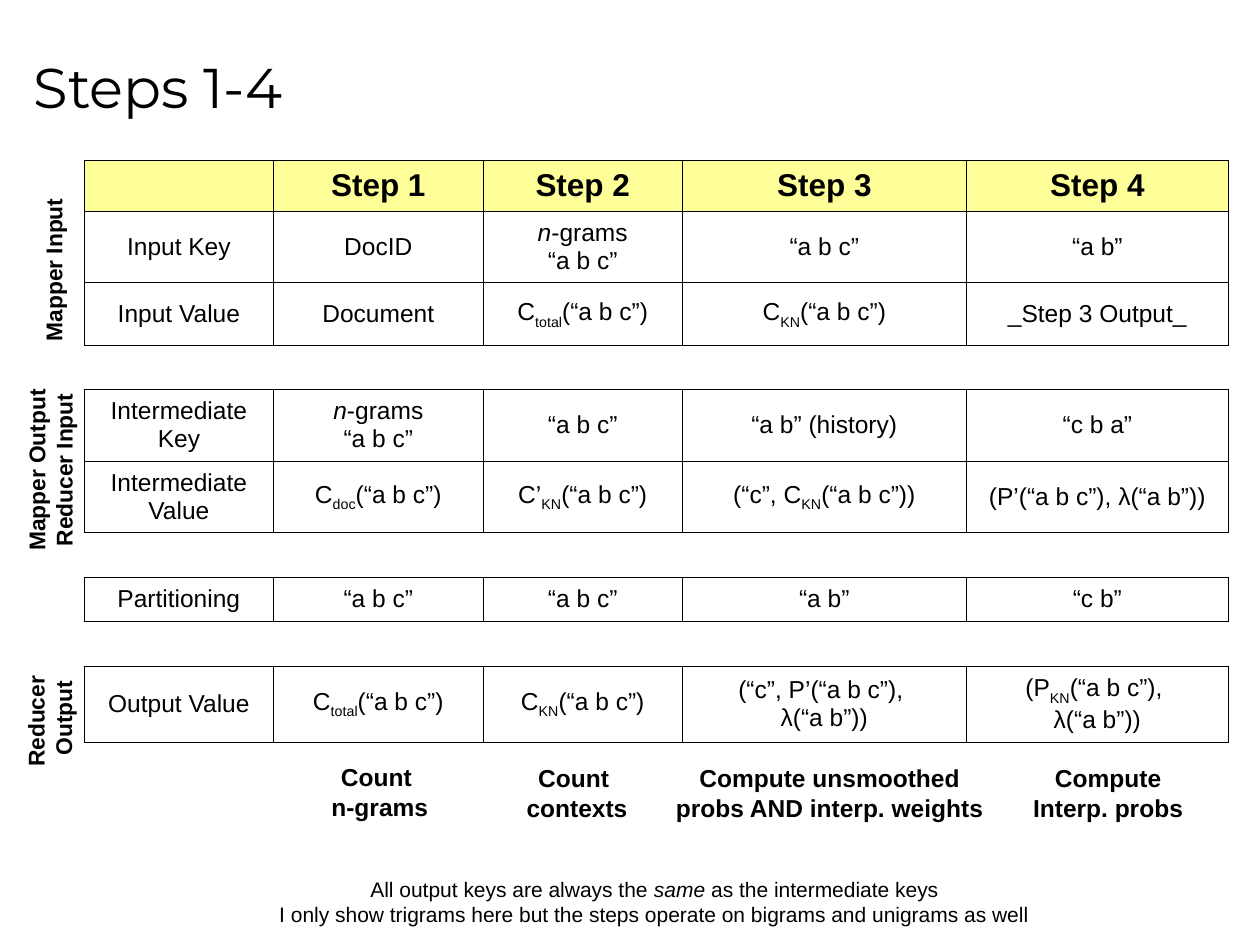
import copy
from dataclasses import dataclass
from typing import NamedTuple

import pptx
import pptx.dml.color
import pptx.enum.text
import pptx.oxml
import pptx.oxml.ns
import pptx.util

ALIGN = pptx.enum.text.PP_ALIGN
ANCHOR = pptx.enum.text.MSO_ANCHOR
AUTO_SIZE = pptx.enum.text.MSO_AUTO_SIZE

# The slide is a grid of 100 columns by 75 rows
GRID_COLUMNS, GRID_ROWS = 100, 75
SLIDE_WIDTH, SLIDE_HEIGHT = pptx.util.Inches(10), pptx.util.Inches(7.5)
NO_STYLE = "{2D5ABB26-0587-4C30-8999-92F81FD0307C}"


@dataclass(frozen=True)
class Theme:
    ink: str = "000000"
    header_fill: str = "FFFF99"
    body_font: str = "Arial"
    title_font: str = "Montserrat"
    title_size: int = 32
    header_size: int = 18
    body_size: int = 14
    side_size: int = 13
    note_size: int = 12
    border: float = 0.45


THEME = Theme()


class Box(NamedTuple):
    left: float
    top: float
    width: float
    height: float


class Label(NamedTuple):
    """Text in paragraphs: *italic*, ~subscript~, and \\n for a line break."""
    paragraphs: tuple
    box: Box
    size: int
    bold: bool = True
    rotation: int = 0
    align: ALIGN = ALIGN.CENTER


TITLE = Box(1.7, 1.2, 95, 11.2)

# Table content; an empty row is an open gap between groups
GAP = ("",) * 5
TABLE_CORNER = (6.7, 12.7)
COLUMN_WIDTHS = (15, 16.65, 15.8, 22.55, 20.8)
STEP_ROWS = (
    (4.05, ("", "Step 1", "Step 2", "Step 3", "Step 4")),
    (5.7, ("Input Key", "DocID", "*n*-grams\n“a b c”", "“a b c”", "“a b”")),
    (5.0, ("Input Value", "Document", "C~total~(“a b c”)", "C~KN~(“a b c”)",
           "_Step 3 Output_")),
    (3.45, GAP),
    (5.7, ("Intermediate Key", "*n*-grams\n“a b c”", "“a b c”",
           "“a b” (history)", "“c b a”")),
    (5.7, ("Intermediate Value", "C~doc~(“a b c”)", "C’~KN~(“a b c”)",
           "(“c”, C~KN~(“a b c”))", "(P’(“a b c”), λ(“a b”))")),
    (3.5, GAP),
    (3.55, ("Partitioning", "“a b c”", "“a b c”", "“a b”", "“c b”")),
    (3.55, GAP),
    (6.0, ("Output Value", "C~total~(“a b c”)", "C~KN~(“a b c”)",
           "(“c”, P’(“a b c”), \nλ(“a b”))",
           "(P~KN~(“a b c”), \nλ(“a b”))")),
)

LABELS = (
    # What each step does
    Label(("Count ", "n-grams"), Box(25.3, 60, 9.7, 5.7), THEME.body_size),
    Label(("Count ", "contexts"), Box(40.8, 60.1, 10, 5.7), THEME.body_size),
    Label(("Compute unsmoothed\nprobs AND interp. weights",),
          Box(52.6, 60.1, 26.5, 5.7), THEME.body_size),
    Label(("Compute", "Interp. probs"), Box(81, 60.1, 13.9, 5.7),
          THEME.body_size),
    # Closing note
    Label(("All output keys are always the *same *as the intermediate keys",
           "I only show trigrams here but the steps operate on bigrams "
           "and unigrams as well"),
          Box(20.95, 69.1, 62, 5), THEME.note_size, bold=False),
    # Row groups, reading upwards
    Label(("Mapper Input",), Box(-2.4, 19.8, 13.3, 3.2), THEME.side_size,
          rotation=270, align=ALIGN.LEFT),
    Label(("Mapper Output", "Reducer Input"), Box(-3.4, 34.6, 14.8, 5.4),
          THEME.side_size, rotation=270),
    Label(("Reducer ", "Output"), Box(-0.9, 54.3, 9.7, 5.4),
          THEME.side_size, rotation=270),
)


def across(columns: float) -> int:
    return round(SLIDE_WIDTH * columns / GRID_COLUMNS)


def down(rows: float) -> int:
    return round(SLIDE_HEIGHT * rows / GRID_ROWS)


def add_run(paragraph, text: str, size: int, bold: bool, italic: bool,
            subscript: bool, font_name: str) -> None:
    for index, line in enumerate(text.split("\n")):
        if index:
            paragraph.add_line_break()
            line_break = paragraph._p[-1]
        run = paragraph.add_run()
        run.text = line
        formats = {"name": font_name, "size": pptx.util.Pt(size),
                   "bold": bold, "italic": italic}
        for attribute, value in formats.items():
            setattr(run.font, attribute, value)
        run.font.color.rgb = pptx.dml.color.RGBColor.from_string(THEME.ink)
        properties = run._r.get_or_add_rPr()
        if index:
            line_break.insert(0, copy.deepcopy(properties))
        if subscript:
            properties.set("baseline", "-25000")


def write(paragraph, marked: str, size: int, bold: bool, align: ALIGN,
          font_name: str = THEME.body_font) -> None:
    paragraph.alignment = align
    for level, piece in enumerate(marked.split("~")):
        for slant, text in enumerate(piece.split("*")):
            if text:
                add_run(paragraph, text, size, bold, slant % 2 == 1,
                        level % 2 == 1, font_name)
    if not marked:
        end = paragraph._p.makeelement(
            pptx.oxml.ns.qn("a:endParaRPr"), {"sz": str(size * 100)})
        paragraph._p.append(end)


def add_box(slide, box: Box):
    return slide.shapes.add_textbox(across(box.left), down(box.top),
                                    across(box.width), down(box.height))


def add_label(slide, label: Label) -> None:
    holder = add_box(slide, label.box)
    holder.rotation = label.rotation
    frame = holder.text_frame
    for attribute, value in {"word_wrap": False,
                             "auto_size": AUTO_SIZE.SHAPE_TO_FIT_TEXT}.items():
        setattr(frame, attribute, value)
    for index, text in enumerate(label.paragraphs):
        paragraph = frame.add_paragraph() if index else frame.paragraphs[0]
        write(paragraph, text, label.size, label.bold, label.align)


def set_borders(cell, open_sides: bool) -> None:
    properties = cell._tc.get_or_add_tcPr()
    ink = f'<a:solidFill><a:srgbClr val="{THEME.ink}"/></a:solidFill>'
    for side in "LRTB":
        paint = "<a:noFill/>" if open_sides and side in "LR" else ink
        properties.append(pptx.oxml.parse_xml(
            f'<a:ln{side} {pptx.oxml.ns.nsdecls("a")} '
            f'w="{pptx.util.Pt(THEME.border)}">{paint}</a:ln{side}>'))


def add_steps_table(slide) -> None:
    left, top = TABLE_CORNER
    steps = slide.shapes.add_table(
        len(STEP_ROWS), len(COLUMN_WIDTHS), across(left), down(top),
        across(sum(COLUMN_WIDTHS)),
        down(sum(height for height, _ in STEP_ROWS))).table
    steps.first_row = steps.horz_banding = False
    steps._tbl.tblPr.find(pptx.oxml.ns.qn("a:tableStyleId")).text = NO_STYLE
    for column, width in zip(steps.columns, COLUMN_WIDTHS):
        column.width = across(width)
    for index, (height, texts) in enumerate(STEP_ROWS):
        header = index == 0
        steps.rows[index].height = down(height)
        for cell, text in zip(steps.rows[index].cells, texts):
            set_borders(cell, open_sides=texts == GAP)
            cell.vertical_anchor = ANCHOR.MIDDLE
            if header:
                cell.fill.solid()
                cell.fill.fore_color.rgb = (
                    pptx.dml.color.RGBColor.from_string(THEME.header_fill))
            else:
                cell.fill.background()
            write(cell.text_frame.paragraphs[0], text,
                  THEME.header_size if header else THEME.body_size,
                  header, ALIGN.CENTER)


def main() -> None:
    deck = pptx.Presentation()
    deck.slide_width, deck.slide_height = SLIDE_WIDTH, SLIDE_HEIGHT
    slide = deck.slides.add_slide(deck.slide_layouts[6])

    # Title
    heading = add_box(slide, TITLE).text_frame
    heading.word_wrap = True
    heading.vertical_anchor = ANCHOR.MIDDLE
    write(heading.paragraphs[0], "Steps 1-4", THEME.title_size, False,
          ALIGN.LEFT, THEME.title_font)

    # Table, then the labels around it
    add_steps_table(slide)
    for label in LABELS:
        add_label(slide, label)
    deck.save("out.pptx")


if __name__ == "__main__":
    main()
